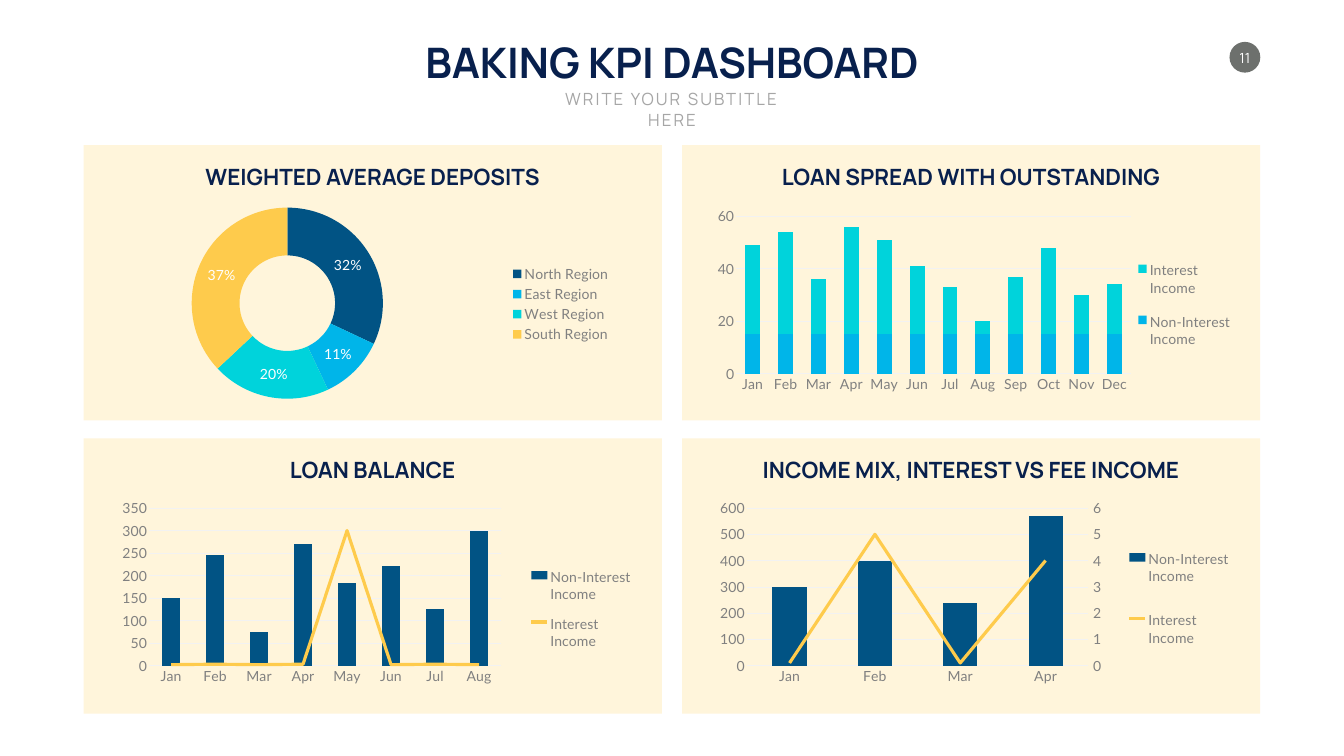
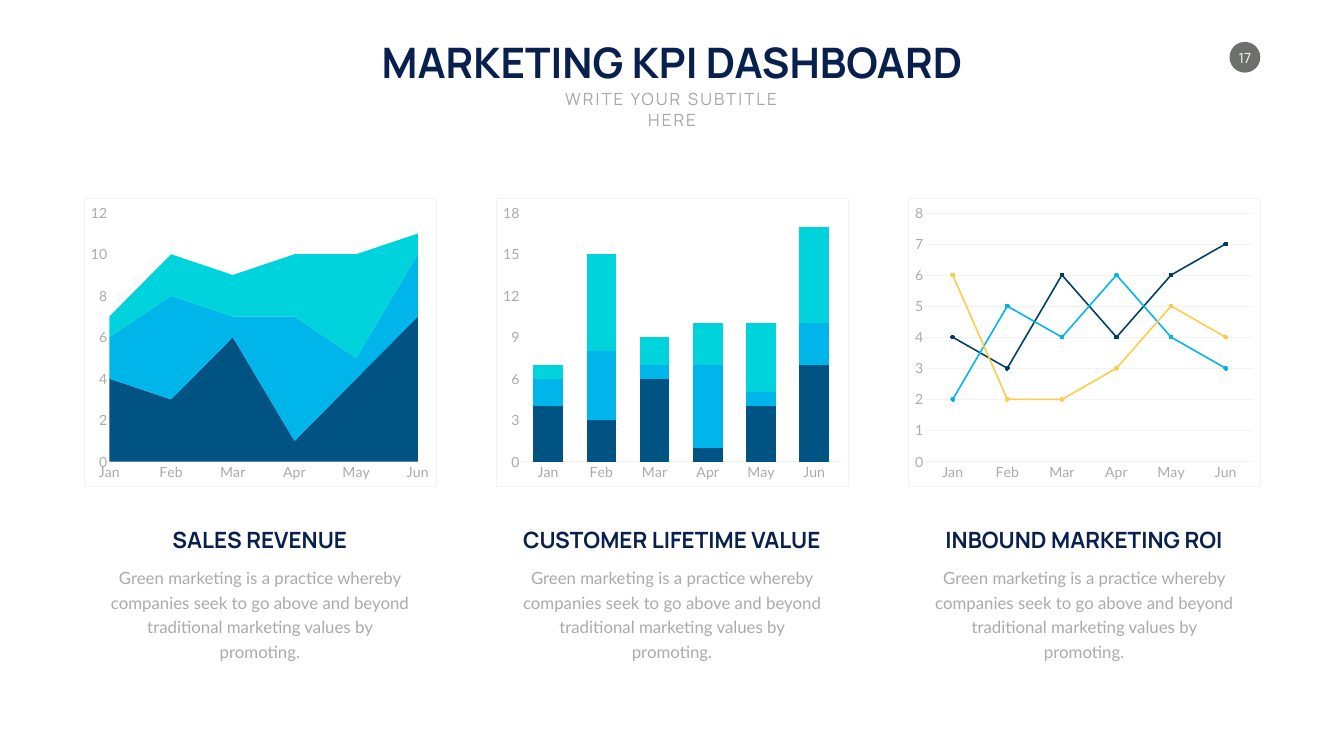
import copy

import pptx
import pptx.chart.data
import pptx.dml.color
import pptx.enum.chart
import pptx.enum.shapes
import pptx.enum.text
import pptx.oxml
import pptx.oxml.ns
import pptx.util
from lxml import etree

Pt = pptx.util.Pt
qn = pptx.oxml.ns.qn
CHART = pptx.enum.chart.XL_CHART_TYPE
ANCHOR = pptx.enum.text.MSO_ANCHOR

COLORS = {
    "heading": "08204D", "subtitle": "A6A6A6", "badge": "6D706D", "card": "FFF5DB",
    "white": "FFFFFF", "grid": "F2F2F2", "card_label": "808080", "caption": "AAAAAA",
    "navy": "015384", "ink": "013E63", "blue": "00B5E9", "teal": "00D3DB", "gold": "FECB4C",
}

# Text styles: font values, box values, letter spacing and line spacing
STYLES = {
    "title": dict(font=dict(size=Pt(60), name="Manrope", bold=True), color="heading"),
    "subtitle": dict(font=dict(size=Pt(24), name="Manrope"), color="subtitle",
                     frame=dict(word_wrap=True), tracking=300),
    "number": dict(font=dict(size=Pt(20), name="Manrope"), color="white",
                   frame=dict(vertical_anchor=ANCHOR.MIDDLE, margin_left=0, margin_right=0,
                              margin_top=0, margin_bottom=0)),
    "card_title": dict(font=dict(size=Pt(32), name="Manrope", bold=True), color="heading",
                       frame=dict(vertical_anchor=ANCHOR.MIDDLE)),
    "column_title": dict(font=dict(size=Pt(32), name="Manrope", bold=True), color="heading",
                         frame=dict(vertical_anchor=ANCHOR.BOTTOM, word_wrap=True)),
    "caption": dict(font=dict(size=Pt(24), name="Lato"), color="caption",
                    frame=dict(word_wrap=True), line_spacing=Pt(35)),
}

SLIDE_W, SLIDE_H = 1919.52, 1080
MARGIN = 119.5
CARD_W, CARD_H = 825.8, 393.1
CARD_STEP_X, CARD_STEP_Y, CARD_TOP = 854.6, 419, 207.4
COLUMN_W, COLUMN_STEP = 503.3, 588.6
MONTHS = ["Jan", "Feb", "Mar", "Apr", "May", "Jun",
          "Jul", "Aug", "Sep", "Oct", "Nov", "Dec"]


def rgb(name):
    return pptx.dml.color.RGBColor.from_string(COLORS[name])


def points(box):
    return [Pt(length) for length in box]


def apply(target, values):
    for name, value in values.items():
        setattr(target, name, value)


def paint(fill, color):
    fill.solid()
    fill.fore_color.rgb = rgb(color)


def stroke(line, color, width):
    paint(line.fill, color)
    line.width = Pt(width)


# Basic elements
def add_panel(slide, preset, box, color):
    panel = slide.shapes.add_shape(preset, *points(box))
    panel.shadow.inherit = False
    paint(panel.fill, color)
    panel.line.fill.background()


def add_text(slide, text, box, style_name):
    style = STYLES[style_name]
    frame = slide.shapes.add_textbox(*points(box)).text_frame
    apply(frame, dict(word_wrap=False,
                      auto_size=pptx.enum.text.MSO_AUTO_SIZE.SHAPE_TO_FIT_TEXT))
    apply(frame, style.get("frame", {}))
    paragraph = frame.paragraphs[0]
    paragraph.alignment = pptx.enum.text.PP_ALIGN.CENTER
    paragraph.line_spacing = style.get("line_spacing")
    run = paragraph.add_run()
    run.text = text
    apply(run.font, style["font"])
    run.font.color.rgb = rgb(style["color"])
    if "tracking" in style:
        run.font._element.set("spc", str(style["tracking"]))


def add_header(slide, number, title, title_width):
    add_panel(slide, pptx.enum.shapes.MSO_SHAPE.OVAL, (1756, 59.8, 44, 44), "badge")
    add_text(slide, number, (1763.3, 69.8, 29.5, 24.5), "number")
    add_text(slide, title, ((SLIDE_W - title_width) / 2, 48.2, title_width, 80), "title")
    add_text(slide, "WRITE YOUR SUBTITLE HERE", (764.3, 123.8, 391, 36), "subtitle")


# Chart helpers
def chart_layout(box, inner=False):
    layout = pptx.oxml.parse_xml(
        f'<c:layout {pptx.oxml.ns.nsdecls("c")}><c:manualLayout/></c:layout>')
    values = [("layoutTarget", "inner")] if inner else []
    values += [("xMode", "edge"), ("yMode", "edge")] + list(zip("xywh", box))
    for tag, value in values:
        etree.SubElement(layout[0], qn(f"c:{tag}")).set("val", str(value))
    return layout


def area_format(border=None):
    line = f'<a:solidFill><a:srgbClr val="{COLORS[border]}"/></a:solidFill>' if border else "<a:noFill/>"
    return pptx.oxml.parse_xml(
        f'<c:spPr {pptx.oxml.ns.nsdecls("c", "a")}><a:noFill/>'
        f'<a:ln w="{Pt(0.75)}">{line}</a:ln></c:spPr>')


def style_label(font, color):
    apply(font, dict(size=Pt(20), name="Lato", bold=False))
    font.color.rgb = rgb(color)


def style_axes(chart, color, major, grid):
    for axis in (chart.category_axis, chart.value_axis):
        apply(axis, dict(major_tick_mark=pptx.enum.chart.XL_TICK_MARK.NONE,
                         minor_tick_mark=pptx.enum.chart.XL_TICK_MARK.NONE,
                         has_major_gridlines=False))
        style_label(axis.tick_labels.font, color)
    stroke(chart.category_axis.format.line, "grid", 0.75)
    chart.value_axis.format.line.fill.background()
    if major:
        chart.value_axis.major_unit = major
    if grid:
        chart.value_axis.has_major_gridlines = True
        stroke(chart.value_axis.major_gridlines.format.line, "grid", 0.75)


def style_line(series, color, width, marker_size=None):
    series.smooth = False
    stroke(series.format.line, color, width)
    if marker_size:
        apply(series.marker, dict(style=pptx.enum.chart.XL_MARKER_STYLE.CIRCLE, size=marker_size))
        paint(series.marker.format.fill, color)
        paint(series.marker.format.line.fill, color)
    else:
        series.marker.style = pptx.enum.chart.XL_MARKER_STYLE.NONE


def add_chart(slide, kind, box, categories, series, colors, label, border=None,
              plot_box=None, legend_box=None, major=None, grid=True, bars=None):
    data = pptx.chart.data.CategoryChartData()
    data.categories = categories
    for name, values in series.items():
        data.add_series(name, values)
    chart = slide.shapes.add_chart(kind, *points(box), data).chart
    chart.has_title = False
    style_label(chart.font, label)
    chart.has_legend = legend_box is not None
    if legend_box:
        apply(chart.legend, dict(position=pptx.enum.chart.XL_LEGEND_POSITION.RIGHT,
                                 include_in_layout=False))
        style_label(chart.legend.font, label)
        chart.legend._element.find(qn("c:legendPos")).addnext(chart_layout(legend_box))
    plot_area = chart._chartSpace.find(".//" + qn("c:plotArea"))
    if plot_box:
        for old in plot_area.findall(qn("c:layout")):
            plot_area.remove(old)
        plot_area.insert(0, chart_layout(plot_box, inner=True))
    plot_area.append(area_format())
    chart._chartSpace.find(qn("c:txPr")).addprevious(area_format(border))
    plot = chart.plots[0]
    apply(plot, bars or {})
    if kind == CHART.DOUGHNUT:
        for index, color in enumerate(colors):
            paint(plot.series[0].points[index].format.fill, color)
        return chart
    plot.vary_by_categories = False
    style_axes(chart, label, major, grid)
    for item, color in zip(plot.series, colors):
        if kind == CHART.LINE_MARKERS:
            style_line(item, color, 2.25, 5)
        else:
            paint(item.format.fill, color)
    return chart


def turn_last_series_to_line(chart, color, right_axis=False):
    bars = chart.plots[0]._element
    series = bars.findall(qn("c:ser"))[-1]
    for tag in ("c:invertIfNegative", "c:spPr"):
        for extra in series.findall(qn(tag)):
            series.remove(extra)
    line_chart = pptx.oxml.parse_xml(
        f'<c:lineChart {pptx.oxml.ns.nsdecls("c")}><c:grouping val="standard"/>'
        '<c:varyColors val="0"/><c:marker val="1"/></c:lineChart>')
    line_chart.insert(2, series)
    axis_ids = [axis.get("val") for axis in bars.findall(qn("c:axId"))]
    if right_axis:
        axis_ids = ["5001", "5002"]
        category = copy.deepcopy(chart.category_axis._element)
        value = copy.deepcopy(chart.value_axis._element)
        value.remove(value.find(qn("c:majorGridlines")))
        changes = [(category, {"axId": "5001", "crossAx": "5002", "delete": "1"}),
                   (value, {"axId": "5002", "crossAx": "5001", "axPos": "r",
                            "crosses": "max", "majorTickMark": "out"})]
        for axis, values in changes:
            for tag, setting in values.items():
                axis.find(qn(f"c:{tag}")).set("val", setting)
        chart.value_axis._element.addnext(value)
        value.addnext(category)
    for axis_id in axis_ids:
        etree.SubElement(line_chart, qn("c:axId")).set("val", axis_id)
    bars.addnext(line_chart)
    style_line(chart.plots[1].series[0], color, 4.5)


# Slides
def build_banking(slide):
    add_header(slide, "11", "BAKING KPI DASHBOARD", 761)
    cards = [("WEIGHTED AVERAGE DEPOSITS", 504), ("LOAN SPREAD WITH OUTSTANDING", 572.4),
             ("LOAN BALANCE", 261.4), ("INCOME MIX, INTEREST VS FEE INCOME", 626.4)]
    for index, (title, width) in enumerate(cards):
        row, column = divmod(index, 2)
        left = MARGIN + column * CARD_STEP_X
        top = CARD_TOP + row * CARD_STEP_Y
        add_panel(slide, pptx.enum.shapes.MSO_SHAPE.RECTANGLE, (left, top, CARD_W, CARD_H), "card")
        add_text(slide, title, (left + (CARD_W - width) / 2, top + 21.5, width, 46), "card_title")

    # Deposits by region
    deposits = add_chart(
        slide, CHART.DOUGHNUT, (183.6, 296.6, 697.7, 275.8),
        ["North Region", "East Region", "West Region", "South Region"],
        {"Series 1": [32, 11, 20, 37]}, ["navy", "blue", "teal", "gold"], "card_label",
        plot_box=(0.03, 0, 0.59, 0.99), legend_box=(0.73, 0.1, 0.25, 0.83))
    deposits.plots[0].has_data_labels = True
    shares = deposits.plots[0].data_labels
    apply(shares, dict(show_percentage=True, show_value=False,
                       number_format="0%", number_format_is_linked=False))
    style_label(shares.font, "white")

    # Loan spread by month
    add_chart(
        slide, CHART.COLUMN_STACKED, (1005.8, 296.6, 761.8, 275.8), MONTHS,
        {"Non-Interest Income": [15] * 12,
         "Interest Income": [34, 39, 21, 41, 36, 26, 18, 5, 22, 33, 15, 19]},
        ["blue", "teal"], "card_label", major=20, bars=dict(gap_width=122, overlap=100),
        plot_box=(0.06, 0.04, 0.74, 0.82), legend_box=(0.81, 0.19, 0.18, 0.62))

    # Columns with a line: balance and income mix
    combos = [
        (151.9, [150, 245, 75, 271, 183, 221, 125, 300], [2, 3, 2, 3, 300, 2, 3, 2],
         0.66, (0.79, 0.29, 0.2, 0.55), False),
        (1005.8, [300, 400, 240, 570], [0.1, 5, 0.1, 4], 0.64, (0.8, 0.12, 0.19, 0.78), True),
    ]
    for left, fees, interest, plot_width, legend_box, right_axis in combos:
        combo = add_chart(
            slide, CHART.COLUMN_CLUSTERED, (left, 713.5, 761.8, 275.8), MONTHS[:len(fees)],
            {"Non-Interest Income": fees, "Interest Income": interest}, ["navy", "gold"],
            "card_label", bars=dict(gap_width=150),
            plot_box=(0.08, 0.04, plot_width, 0.82), legend_box=legend_box)
        turn_last_series_to_line(combo, "gold", right_axis)


def build_marketing(slide):
    add_header(slide, "17", "MARKETING KPI DASHBOARD", 885)
    caption = ("Green marketing is a practice whereby companies seek to go above and beyond "
               "traditional marketing values by promoting.")
    fills = ["navy", "blue", "teal"]
    columns = [
        ("SALES REVENUE", CHART.AREA_STACKED, fills,
         [[4, 3, 6, 1, 4, 7], [2, 5, 1, 6, 1, 3], [1, 2, 2, 3, 5, 1]], dict(grid=False)),
        ("CUSTOMER LIFETIME VALUE", CHART.COLUMN_STACKED, fills,
         [[4, 3, 6, 1, 4, 7], [2, 5, 1, 6, 1, 3], [1, 7, 2, 3, 5, 7]],
         dict(grid=False, major=3, bars=dict(gap_width=80, overlap=100))),
        ("INBOUND MARKETING ROI", CHART.LINE_MARKERS, ["ink", "blue", "gold"],
         [[4, 3, 6, 4, 6, 7], [2, 5, 4, 6, 4, 3], [6, 2, 2, 3, 5, 4]], dict(major=1)),
    ]
    for index, (title, kind, colors, values, options) in enumerate(columns):
        left = MARGIN + index * COLUMN_STEP
        series = {f"Series {number}": row for number, row in enumerate(values, 1)}
        add_chart(slide, kind, (left, 283, COLUMN_W, 412.6), MONTHS[:6], series, colors,
                  "caption", border="grid", **options)
        add_text(slide, title, (left + 25.2, 747.4, 452.9, 46), "column_title")
        add_text(slide, caption, (left + 25.2, 801.4, 452.9, 109.4), "caption")


def main():
    deck = pptx.Presentation()
    deck.slide_width, deck.slide_height = points((SLIDE_W, SLIDE_H))
    for build in (build_banking, build_marketing):
        build(deck.slides.add_slide(deck.slide_layouts[6]))
    deck.save("out.pptx")


if __name__ == "__main__":
    main()
